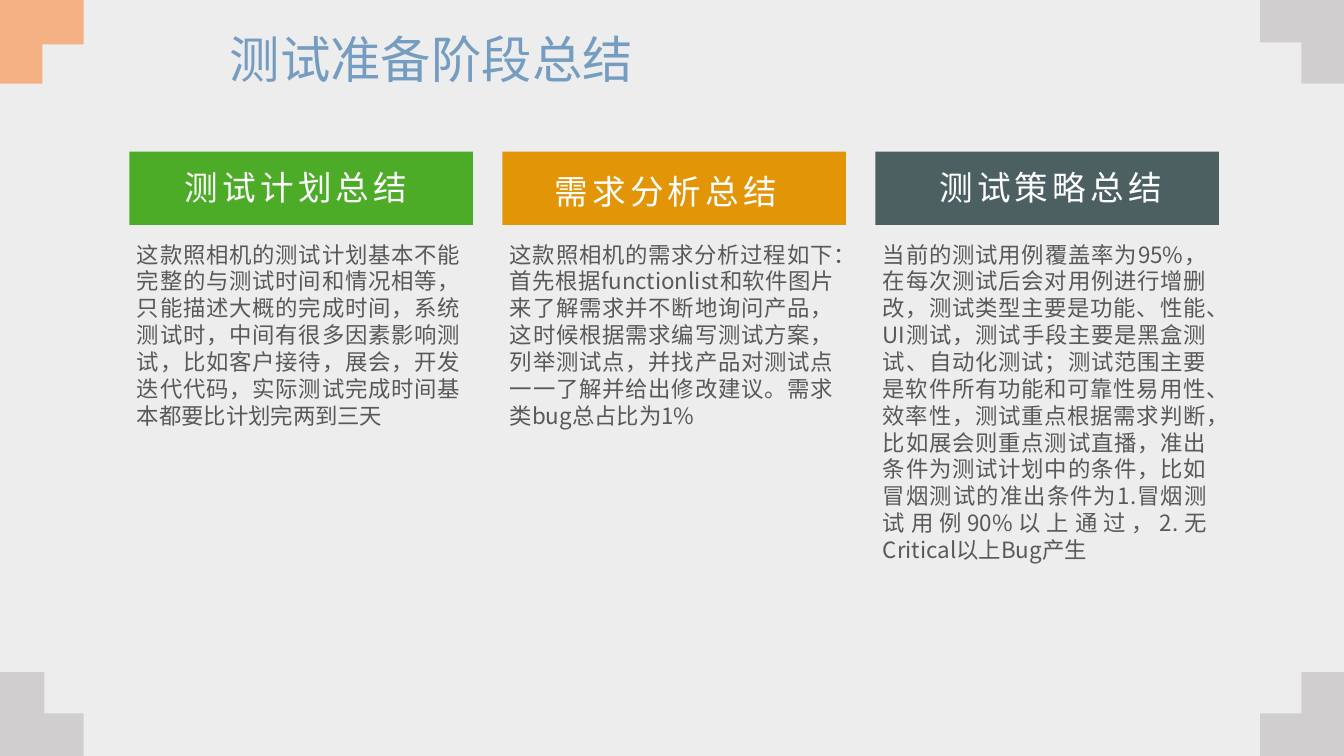
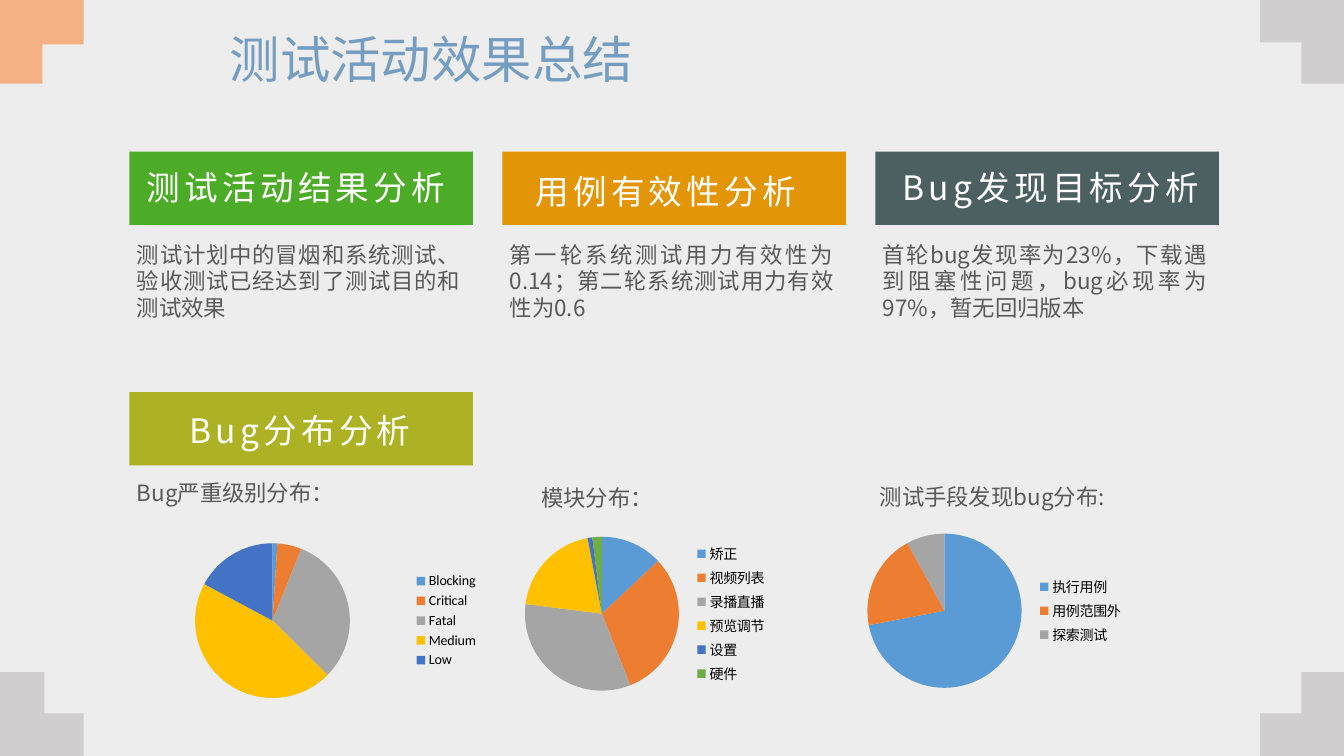
from pptx import Presentation
from pptx.chart.data import CategoryChartData
from pptx.dml.color import RGBColor
from pptx.enum.chart import XL_CHART_TYPE as ChartType, XL_LEGEND_POSITION as LegendPosition
from pptx.enum.lang import MSO_LANGUAGE_ID as Language
from pptx.enum.shapes import MSO_SHAPE as Preset
from pptx.enum.text import MSO_ANCHOR as Anchor, MSO_AUTO_SIZE as AutoSize, PP_ALIGN as Align
from pptx.oxml import parse_xml
from pptx.oxml.ns import nsdecls
from pptx.util import Cm, Pt

# Content: each column is (heading, body)
PREPARATION = {
    "title": "测试准备阶段总结",
    "columns": [
        ("测试计划总结",
         "这款照相机的测试计划基本不能完整的与测试时间和情况相等，只能描述大概的完成时间，"
         "系统测试时，中间有很多因素影响测试，比如客户接待，展会，开发迭代代码，"
         "实际测试完成时间基本都要比计划完两到三天"),
        ("需求分析总结",
         "这款照相机的需求分析过程如下：首先根据functionlist和软件图片来了解需求并不断地询问产品，"
         "这时候根据需求编写测试方案，列举测试点，并找产品对测试点一一了解并给出修改建议。"
         "需求类bug总占比为1%"),
        ("测试策略总结",
         "当前的测试用例覆盖率为95%，在每次测试后会对用例进行增删改，"
         "测试类型主要是功能、性能、UI测试，测试手段主要是黑盒测试、自动化测试；"
         "测试范围主要是软件所有功能和可靠性易用性、效率性，测试重点根据需求判断，"
         "比如展会则重点测试直播，准出条件为测试计划中的条件，"
         "比如冒烟测试的准出条件为1.冒烟测试用例90%以上通过，2.无Critical以上Bug产生"),
    ],
    "body_height": [5.05, 5.05, 8.46],
}
RESULTS = {
    "title": "测试活动效果总结",
    "columns": [
        ("测试活动结果分析", "测试计划中的冒烟和系统测试、验收测试已经达到了测试目的和测试效果"),
        ("用例有效性分析", "第一轮系统测试用力有效性为0.14；第二轮系统测试用力有效性为0.6"),
        ("Bug发现目标分析", "首轮bug发现率为23%，下载遇到阻塞性问题，bug必现率为97%，暂无回归版本"),
    ],
    "body_height": [2.31] * 3,
}
DISTRIBUTION_HEADING = "Bug分布分析"
# Caption, its left and top, chart frame, slices
DISTRIBUTIONS = [
    ("Bug严重级别分布：", (3.2, 11.96), (3.35, 13.34, 8.97, 4.6),
     {"Blocking": 1, "Critical": 5, "Fatal": 31, "Medium": 45, "Low": 17}),
    ("模块分布：", (13.39, 12.07), (12.88, 12.34, 6.71, 6.25),
     {"矫正": 13, "视频列表": 31, "录播直播": 33, "预览调节": 20, "设置": 1, "硬件": 2}),
    ("测试手段发现bug分布:", (21.92, 12.04), (21.51, 12.7, 7.06, 5.38),
     {"执行用例": 72, "用例范围外": 20, "探索测试": 8}),
]

# Shared style, lengths in centimetres
WIDTH, HEIGHT = 33.87, 19.05
FONT = "Noto Sans CJK SC"
BACKGROUND, TITLE_COLOR, BODY_COLOR, WHITE, BLACK = "EDEDED", "759DC2", "595959", "FFFFFF", "000000"
CORNER_GREY, CORNER_ORANGE = "D0CECE", "F4B183"
COLUMN_COLORS = ["4CAB27", "E39508", "4C6062"]
DISTRIBUTION_COLOR = "ADB225"
SLICE_COLORS = ["5B9BD5", "ED7D31", "A5A5A5", "FFC000", "4472C4", "70AD47"]
COLUMN_PITCH, BANNER_LEFT, BODY_LEFT = 9.4, 3.26, 3.2
COLUMN_WIDTH, BANNER_HEIGHT = 8.66, 1.85
BANNER_TOP, BODY_TOP, DISTRIBUTION_TOP = 3.82, 5.94, 9.88
LABEL_SHIFTS = [(-0.13, 0.27), (-0.21, 0.35), (0.09, 0.27)]
DISTRIBUTION_SHIFT = (-0.03, 0.33)
# Corner x and y, direction inwards, arm thickness across and down, colour
CORNERS = [
    (0, HEIGHT, 1, -1, 1.12, 1.07, CORNER_GREY),
    (0, 0, 1, 1, 1.07, 1.12, CORNER_ORANGE),
    (WIDTH, 0, -1, 1, 1.07, 1.07, CORNER_GREY),
    (WIDTH, HEIGHT, -1, -1, 1.07, 1.07, CORNER_GREY),
]
CORNER_SIZE = 2.11


def color(value):
    return RGBColor.from_string(value)


def paint(shape, fill):
    shape.shadow.inherit = False
    shape.fill.solid()
    shape.fill.fore_color.rgb = color(fill)
    shape.line.fill.background()


def add_text(slide, text, frame, size, ink, align, wrap=True):
    box = slide.shapes.add_textbox(*map(Cm, frame))
    text_frame = box.text_frame
    text_frame.text = text
    text_frame.word_wrap = wrap
    text_frame.auto_size = AutoSize.SHAPE_TO_FIT_TEXT
    text_frame.paragraphs[0].alignment = align
    run = text_frame.paragraphs[0].runs[0]
    run.font.size = Pt(size)
    run.font.name = FONT
    run.font.language_id = Language.SIMPLIFIED_CHINESE
    run.font.color.rgb = color(ink)
    properties = run.font._element
    properties.append(parse_xml(f'<a:ea {nsdecls("a")} typeface="{FONT}"/>'))
    return text_frame


def add_title(slide, text):
    text_frame = add_text(slide, text, (5.54, 0.71, 22.81, 1.7), 36, TITLE_COLOR, Align.LEFT)
    text_frame.auto_size = AutoSize.NONE
    text_frame.vertical_anchor = Anchor.MIDDLE
    text_frame.paragraphs[0].line_spacing = 0.9


def add_body(slide, text, left, top, height):
    add_text(slide, text, (left, top, COLUMN_WIDTH, height), 16, BODY_COLOR, Align.JUSTIFY)


def add_banner(slide, text, left, top, fill, shift):
    frame = (left, top, COLUMN_WIDTH, BANNER_HEIGHT)
    paint(slide.shapes.add_shape(Preset.RECTANGLE, *map(Cm, frame)), fill)
    # Latin letters take about 0.7 of a full character
    width = 0.51 + 0.95 * sum(0.7 if letter.isascii() else 1 for letter in text)
    label_left = left + (COLUMN_WIDTH - width) / 2 + shift[0]
    label = add_text(slide, text, (label_left, top + shift[1], width, 1.28),
                     24, WHITE, Align.CENTER, wrap=False)
    label.paragraphs[0].runs[0].font._element.set("spc", "300")


def add_pie(slide, frame, slices):
    data = CategoryChartData()
    data.categories = list(slices)
    data.add_series("Series 1", list(slices.values()))
    chart = slide.shapes.add_chart(ChartType.PIE, *map(Cm, frame), data).chart
    chart.has_title = False
    chart.font.size = Pt(10)
    chart.font.name = "Calibri"
    chart.font.color.rgb = color(BLACK)
    chart.has_legend = True
    chart.legend.position = LegendPosition.RIGHT
    chart.legend.include_in_layout = False
    plot = chart.plots[0]
    plot.vary_by_categories = True
    for index, fill in enumerate(SLICE_COLORS[:len(slices)]):
        point = plot.series[0].points[index]
        point.format.fill.solid()
        point.format.fill.fore_color.rgb = color(fill)
        point.format.line.fill.background()


def decorate_master(master, slide):
    """Draw the corners on a slide, then move them to the master."""
    master.background.fill.solid()
    master.background.fill.fore_color.rgb = color(BACKGROUND)
    for number, (x, y, across, down, arm_x, arm_y, fill) in enumerate(CORNERS):
        outline = [(0, 0), (CORNER_SIZE, 0), (CORNER_SIZE, arm_y),
                   (arm_x, arm_y), (arm_x, CORNER_SIZE), (0, CORNER_SIZE)]
        points = [(Cm(x + across * dx), Cm(y + down * dy)) for dx, dy in outline]
        builder = slide.shapes.build_freeform(*points[0])
        builder.add_line_segments(points[1:], close=True)
        corner = builder.convert_to_shape()
        paint(corner, fill)
        corner.element.nvSpPr.cNvPr.set("id", str(100 + number))
        master.shapes.element.append(corner.element)


def add_column_slide(slide, content):
    for index, (heading, body) in enumerate(content["columns"]):
        offset = index * COLUMN_PITCH
        add_banner(slide, heading, BANNER_LEFT + offset, BANNER_TOP,
                   COLUMN_COLORS[index], LABEL_SHIFTS[index])
        add_body(slide, body, BODY_LEFT + offset, BODY_TOP, content["body_height"][index])
    add_title(slide, content["title"])


def main():
    presentation = Presentation()
    presentation.slide_width, presentation.slide_height = Cm(WIDTH), Cm(HEIGHT)
    blank = presentation.slide_layouts[6]
    preparation = presentation.slides.add_slide(blank)
    decorate_master(presentation.slide_master, preparation)
    add_column_slide(preparation, PREPARATION)

    # Results slide with the bug distribution charts
    results = presentation.slides.add_slide(blank)
    add_column_slide(results, RESULTS)
    add_banner(results, DISTRIBUTION_HEADING, BANNER_LEFT, DISTRIBUTION_TOP,
               DISTRIBUTION_COLOR, DISTRIBUTION_SHIFT)
    for caption, (left, top), frame, slices in DISTRIBUTIONS:
        add_body(results, caption, left, top, 0.94)
        add_pie(results, frame, slices)
    presentation.save("out.pptx")


if __name__ == "__main__":
    main()
